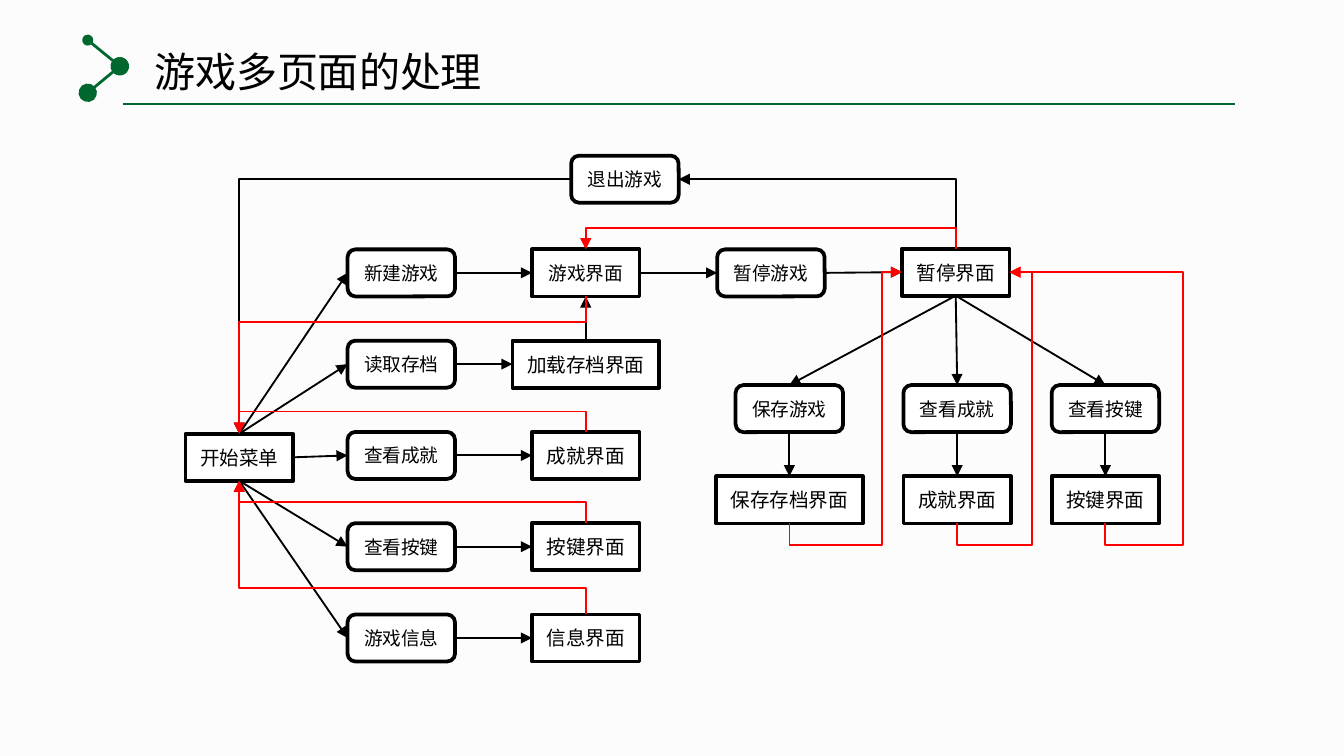
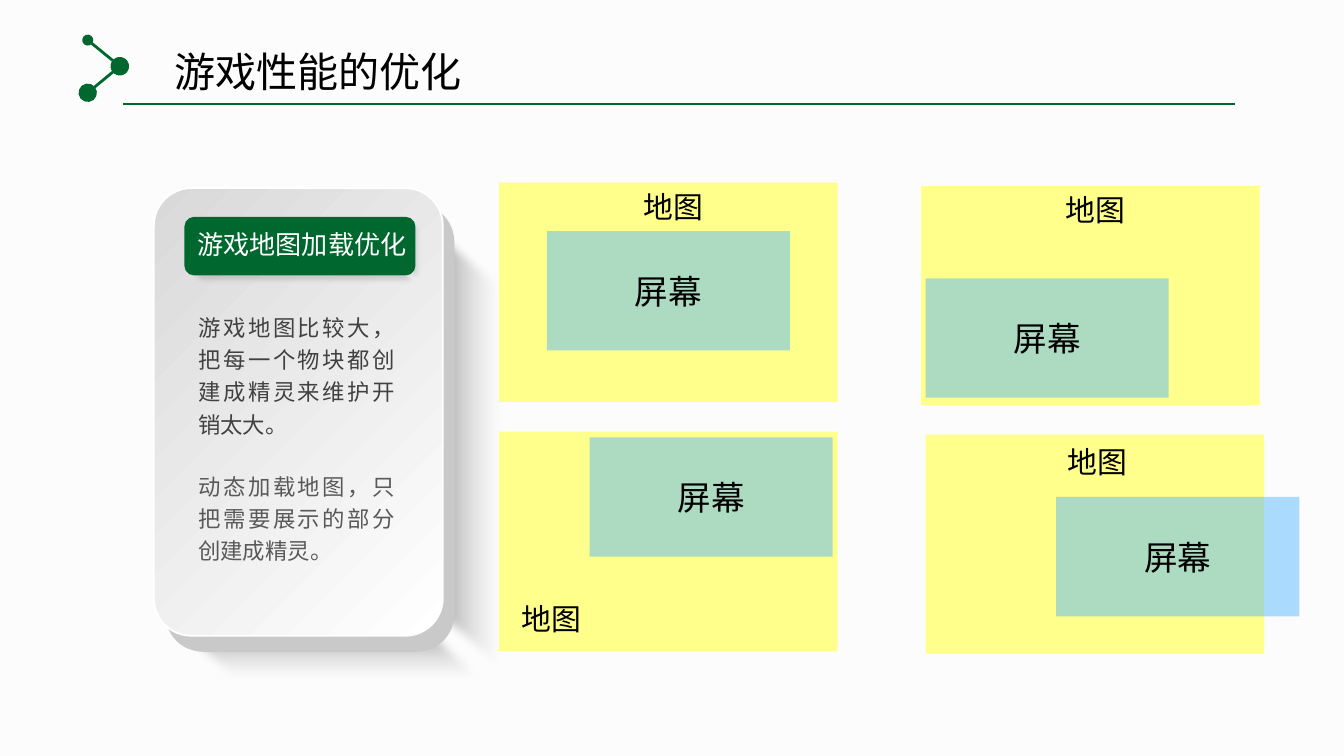
from dataclasses import dataclass

from lxml.etree import SubElement
from pptx import Presentation
from pptx.dml.color import RGBColor as RGB
from pptx.enum.lang import MSO_LANGUAGE_ID as LANG
from pptx.enum.shapes import MSO_CONNECTOR as CXN, MSO_SHAPE as SHAPE
from pptx.enum.text import MSO_ANCHOR as ANCHOR, MSO_AUTO_SIZE as AUTO, PP_ALIGN as ALIGN
from pptx.oxml.ns import qn
from pptx.util import Pt


@dataclass(frozen=True)
class Theme:
    paper: str = "FCFCFC"
    green: str = "00682F"
    black: str = "000000"
    white: str = "FFFFFF"
    red: str = "FF0000"
    silver: str = "D9D9D9"
    card_side: str = "C9C9C9"
    shade: str = "6D6D6D"
    text_dark: str = "414141"
    text_soft: str = "595959"
    map: str = "FFFF8B"
    screen: str = "4FB4FF"
    cjk: str = "Noto Sans CJK SC"
    latin: str = "Calibri"
    title_size: float = 22
    screen_size: float = 18
    map_size: float = 16
    badge_size: float = 14
    body_size: float = 12
    page_size: float = 10.5
    action_size: float = 10


T = Theme()


def add_block(s, kind, x, y, w, h, stops=(), angle=0, line=None, adj=None, rot=0, soft=0,
              text="", size=T.body_size, font=T.latin, color=T.black, align=ALIGN.CENTER,
              anchor=ANCHOR.MIDDLE, inset=(0, 0), spacing=None):
    """Add a preset shape, a text box (kind None) or fill the title (kind "title").

    stops holds (position, colour, opacity) in percent: one is a solid fill, more a gradient.
    """
    box = [Pt(v) for v in (x, y, w, h)]
    if kind == "title":
        sp = s.shapes.title
        sp.left, sp.top, sp.width, sp.height = box
    elif kind is None:
        sp = s.shapes.add_textbox(*box)
    else:
        sp = s.shapes.add_shape(kind, *box)
        sp.shadow.inherit = False
        sp.rotation = rot
        if adj:
            sp.adjustments[0] = adj
        spPr = sp.element.spPr
        if len(stops) == 1:
            sp.fill.solid()
            sp.fill.fore_color.rgb = RGB.from_string(stops[0][1])
            colors = [spPr.find(qn("a:solidFill"))[0]]
        else:
            sp.fill.gradient()
            grad = spPr.find(qn("a:gradFill"))
            grad.find(qn("a:lin")).set("ang", str(angle * 60000))
            gs_list = grad.find(qn("a:gsLst"))
            gs_list.clear()
            colors = []
            for pos, rgb, _ in stops:
                gs = SubElement(gs_list, qn("a:gs"), pos=str(pos * 1000))
                colors.append(SubElement(gs, qn("a:srgbClr"), val=rgb))
        for clr, (_, _, opacity) in zip(colors, stops):
            if opacity < 100:
                SubElement(clr, qn("a:alpha"), val=str(opacity * 1000))
        if line:
            sp.line.color.rgb = RGB.from_string(line[0])
            sp.line.width = Pt(line[1])
        else:
            sp.line.fill.background()
        if soft:
            SubElement(spPr.find(qn("a:effectLst")), qn("a:softEdge"), rad=str(Pt(soft)))
    if text:
        tf = sp.text_frame
        tf.auto_size, tf.word_wrap, tf.vertical_anchor = AUTO.NONE, True, anchor
        tf.margin_left = tf.margin_right = Pt(inset[0])
        tf.margin_top = tf.margin_bottom = Pt(inset[1])
        p = tf.paragraphs[0]
        p.text, p.alignment, p.line_spacing = text, align, spacing
        p.font.size, p.font.name = Pt(size), font
        p.font.color.rgb = RGB.from_string(color)
        p.font.language_id = LANG.SIMPLIFIED_CHINESE
    return sp


def add_link(s, *pts, color=T.black, width=1, head=None, tail=("triangle", "med")):
    """Join the points: two give a straight line, more a right-angled connector."""
    (x0, y0), (x1, y1) = pts[0], pts[-1]
    bent = len(pts) > 2
    upright = bent and pts[0][0] == pts[1][0]
    cx, cy, dx, dy = (x0 + x1) / 2, (y0 + y1) / 2, x1 - x0, y1 - y0
    du, dv = (dy, -dx) if upright else (dx, dy)  # extent before a quarter turn
    c = s.shapes.add_connector(CXN.ELBOW if bent else CXN.STRAIGHT,
                               Pt(cx - du / 2), Pt(cy - dv / 2), Pt(cx + du / 2), Pt(cy + dv / 2))
    spPr = c.element.spPr
    if bent:
        geom = spPr.find(qn("a:prstGeom"))
        geom.set("prst", f"bentConnector{len(pts) - 1}")
        if upright:
            spPr.find(qn("a:xfrm")).set("rot", "5400000")
        adjusts = [(pts[1][1] - y0) / dy] if len(pts) > 3 else []
        if len(pts) > 4:
            adjusts.append((pts[2][0] - x0) / dx)
        for i, adj in enumerate(adjusts, 1):
            SubElement(geom.find(qn("a:avLst")), qn("a:gd"), name=f"adj{i}",
                       fmla=f"val {round(adj * 100000)}")
    c.line.color.rgb = RGB.from_string(color)
    c.line.width = Pt(width)
    ln = spPr.find(qn("a:ln"))
    for tag, end in (("a:headEnd", head), ("a:tailEnd", tail)):
        if end:
            SubElement(ln, qn(tag), type=end[0], w=end[1], len=end[1])
    SubElement(spPr, qn("a:effectLst"))
    return c


prs = Presentation()
prs.slide_width, prs.slide_height = Pt(720), Pt(405)
layout = prs.slide_layouts[5]
bg = prs.slide_master.background.fill
bg.solid()
bg.fore_color.rgb = RGB.from_string(T.paper)
for ph in list(layout.placeholders):
    if ph.placeholder_format.idx:
        ph.element.getparent().remove(ph.element)

flow, tuning = [prs.slides.add_slide(layout) for _ in range(2)]
for s, title in ((flow, "游戏多页面的处理"), (tuning, "游戏性能的优化")):
    add_block(s, "title", 61.7, 21.8, 217.4, 32.4, text=title, size=T.title_size, font=T.cjk,
              anchor=ANCHOR.TOP, inset=(5.8, 2.9))

# Node mark and rule under the title, moved to the layout that both slides share
upper_node, middle_node, lower_node = (47, 21.5), (64.2, 35.5), (47, 49.7)
SMALL_DOT, BIG_DOT = ("oval", "med"), ("oval", "lg")
for start, end, width, head, tail in ((upper_node, middle_node, 1.5, SMALL_DOT, BIG_DOT),
                                      (middle_node, lower_node, 1.5, BIG_DOT, BIG_DOT),
                                      ((66, 55.6), (661.5, 55.6), 1, None, None)):
    mark = add_link(flow, start, end, color=T.green, width=width, head=head, tail=tail)
    layout.shapes.element.append(mark.element)

# Slide 1: page flow. Rounded boxes are actions, square boxes are the pages they open.
PAGE, ACTION = SHAPE.FLOWCHART_PROCESS, SHAPE.FLOWCHART_ALTERNATE_PROCESS
BOX_W, WIDE_W, BOX_H = 57.6, 78.5, 25.2
START_X, ACTION_X, PAGE_X, PAUSE_X, PAUSED_X = 128.2, 215, 313.8, 413, 512
FIRST_Y, ROW_STEP = 146.2, 48.9
QUIT_Y, START_Y, PAUSED_Y = 96, 245, 145.8
SUB_ACTION_Y, SUB_PAGE_Y = 218.9, 267.8

start_menu = {  # action and the page it opens, one row each
    "new": ("新建游戏", "游戏界面"),
    "read": ("读取存档", "加载存档界面"),
    "badges": ("查看成就", "成就界面"),
    "keys": ("查看按键", "按键界面"),
    "info": ("游戏信息", "信息界面"),
}
pause_menu = {  # action, page, centre of their column
    "save": ("保存游戏", "保存存档界面", 422.9),
    "paused_badges": ("查看成就", "成就界面", 512.8),
    "paused_keys": ("查看按键", "按键界面", 592.2),
}
boxes = {
    "start": (PAGE, "开始菜单", START_X, START_Y),
    "pause": (ACTION, "暂停游戏", PAUSE_X, FIRST_Y),
    "paused": (PAGE, "暂停界面", PAUSED_X, PAUSED_Y),
    "quit": (ACTION, "退出游戏", 334.8, QUIT_Y),
}
for i, (key, (action, page)) in enumerate(start_menu.items()):
    y = FIRST_Y + i * ROW_STEP
    boxes[key] = (ACTION, action, ACTION_X, y)
    boxes[key + "_page"] = (PAGE, page, PAGE_X, y)
for key, (action, page, x) in pause_menu.items():
    boxes[key] = (ACTION, action, x, SUB_ACTION_Y)
    boxes[key + "_page"] = (PAGE, page, x, SUB_PAGE_Y)

top, bottom, left, right = {}, {}, {}, {}  # the points where links meet each box
for key, (kind, text, cx, cy) in boxes.items():
    w = WIDE_W if len(text) > 4 else BOX_W
    small = kind == ACTION or key == "new_page"
    add_block(flow, kind, cx - w / 2, cy - BOX_H / 2, w, BOX_H, [(0, T.white, 100)],
              line=(T.black, 2), text=text, size=T.action_size if small else T.page_size)
    top[key], bottom[key] = (cx, cy - BOX_H / 2), (cx, cy + BOX_H / 2)
    left[key], right[key] = (cx - w / 2, cy), (cx + w / 2, cy)

# Forward links
for key, exit_side in zip(start_menu, (top, top, right, bottom, bottom)):
    add_link(flow, exit_side["start"], left[key])
    add_link(flow, right[key], left[key + "_page"])
for key in pause_menu:
    add_link(flow, bottom["paused"], top[key])
    add_link(flow, bottom[key], top[key + "_page"])
add_link(flow, right["new_page"], left["pause"])
add_link(flow, right["pause"], left["paused"])
add_link(flow, top["read_page"], bottom["new_page"])
add_link(flow, top["paused"], (PAUSED_X, QUIT_Y), right["quit"])
add_link(flow, left["quit"], (START_X, QUIT_Y), top["start"])

# Return links run along a level lane, those of the pause menu also up a side lane
for source, lane_y, target in ((bottom["new_page"], 172.4, top["start"]),
                               (top["paused"], 122, top["new_page"]),
                               (top["badges_page"], 220.4, top["start"]),
                               (top["keys_page"], 269, bottom["start"]),
                               (top["info_page"], 315, bottom["start"])):
    add_link(flow, source, (source[0], lane_y), (target[0], lane_y), target, color=T.red)
PAUSE_LANE_Y = 291.8
for key, lane_x, target in zip(pause_menu, (472.7, 553, 633.8),
                               (left["paused"], right["paused"], right["paused"])):
    source = bottom[key + "_page"]
    add_link(flow, source, (source[0], PAUSE_LANE_Y), (lane_x, PAUSE_LANE_Y),
             (lane_x, target[1]), target, color=T.red)

# Slide 2: raised card, listed from back to front
ROUND, SLANT = SHAPE.ROUNDED_RECTANGLE, SHAPE.PARALLELOGRAM
CARD_W, CARD_H, CARD_ROUND = 154.8, 239.8, 0.13
cast = [(0, T.black, 40), (51, T.shade, 20), (100, T.silver, 0)]
face = [(0, T.silver, 100), (100, T.white, 100)]
card_shadow = dict(stops=cast, angle=90, soft=5)
badge_shadow = dict(stops=cast, angle=90, soft=2.5)
card_layers = [
    (SLANT, (126.7, 222.5, 251.3, 38.2), dict(card_shadow, adj=0.85, rot=90)),
    (SLANT, (87.8, 337, 181.4, 29.5), dict(card_shadow, adj=1.07)),
    (ROUND, (88.6, 109.4, CARD_W, CARD_H), dict(stops=[(0, T.card_side, 100)], adj=CARD_ROUND)),
    (ROUND, (82.4, 100.8, CARD_W, CARD_H),
     dict(stops=face, angle=45, line=(T.white, 1), adj=CARD_ROUND)),
    (SLANT, (200.9, 128.2, 41.8, 10.8), dict(badge_shadow, adj=0.73, rot=90)),
    (SLANT, (97.9, 145.4, 130.3, 7.9), dict(badge_shadow, adj=1.07)),
    (ROUND, (98.8, 116.2, 123.8, 31.4), dict(stops=[(0, T.green, 100)])),
]
for kind, box, look in card_layers:
    sp = add_block(tuning, kind, *box, **look)
    if kind == SLANT:
        xfrm = sp.element.spPr.find(qn("a:xfrm"))
        xfrm.set("flipH", "1")
        if sp.rotation:
            xfrm.set("flipV", "1")

label_style = dict(font=T.cjk, align=ALIGN.LEFT, anchor=ANCHOR.TOP)
body_style = dict(font=T.cjk, align=ALIGN.JUSTIFY, anchor=ANCHOR.TOP, inset=(5, 2.9), spacing=1.2)
add_block(tuning, None, 98.6, 118.8, 129.6, 24.5, text="游戏地图加载优化", size=T.badge_size,
          color=T.white, inset=(7.2, 3.6), **label_style)
for y, h, color, text in (
        (162.5, 73.4, T.text_dark, "游戏地图比较大，把每一个物块都创建成精灵来维护开销太大。"),
        (247.7, 56.2, T.text_soft, "动态加载地图，只把需要展示的部分创建成精灵。")):
    add_block(tuning, None, 101.2, y, 115.6, h, text=text, color=color, **body_style)

# Four maps; screen and label are placed by their offset inside the map
MAP_SIZE, SCREEN_SIZE, LABEL_SIZE = (181.4, 117.4), (130.3, 64), (44, 18.7)
for x, y, (screen_dx, screen_dy), (label_dx, label_dy) in (
        (267.3, 97.9, (25.6, 25.9), (77.5, 3)),
        (493.4, 99.7, (2.4, 49.4), (77.5, 3)),
        (267.3, 231.3, (48.5, 3), (12, 90.5)),
        (495.9, 232.8, (69.9, 33.5), (76, 4.8))):
    add_block(tuning, SHAPE.RECTANGLE, x, y, *MAP_SIZE, [(0, T.map, 100)])
    add_block(tuning, SHAPE.RECTANGLE, x + screen_dx, y + screen_dy, *SCREEN_SIZE,
              [(0, T.screen, 47)], text="屏幕", size=T.screen_size)
    add_block(tuning, None, x + label_dx, y + label_dy, *LABEL_SIZE, text="地图",
              size=T.map_size, **label_style)

prs.save("out.pptx")
